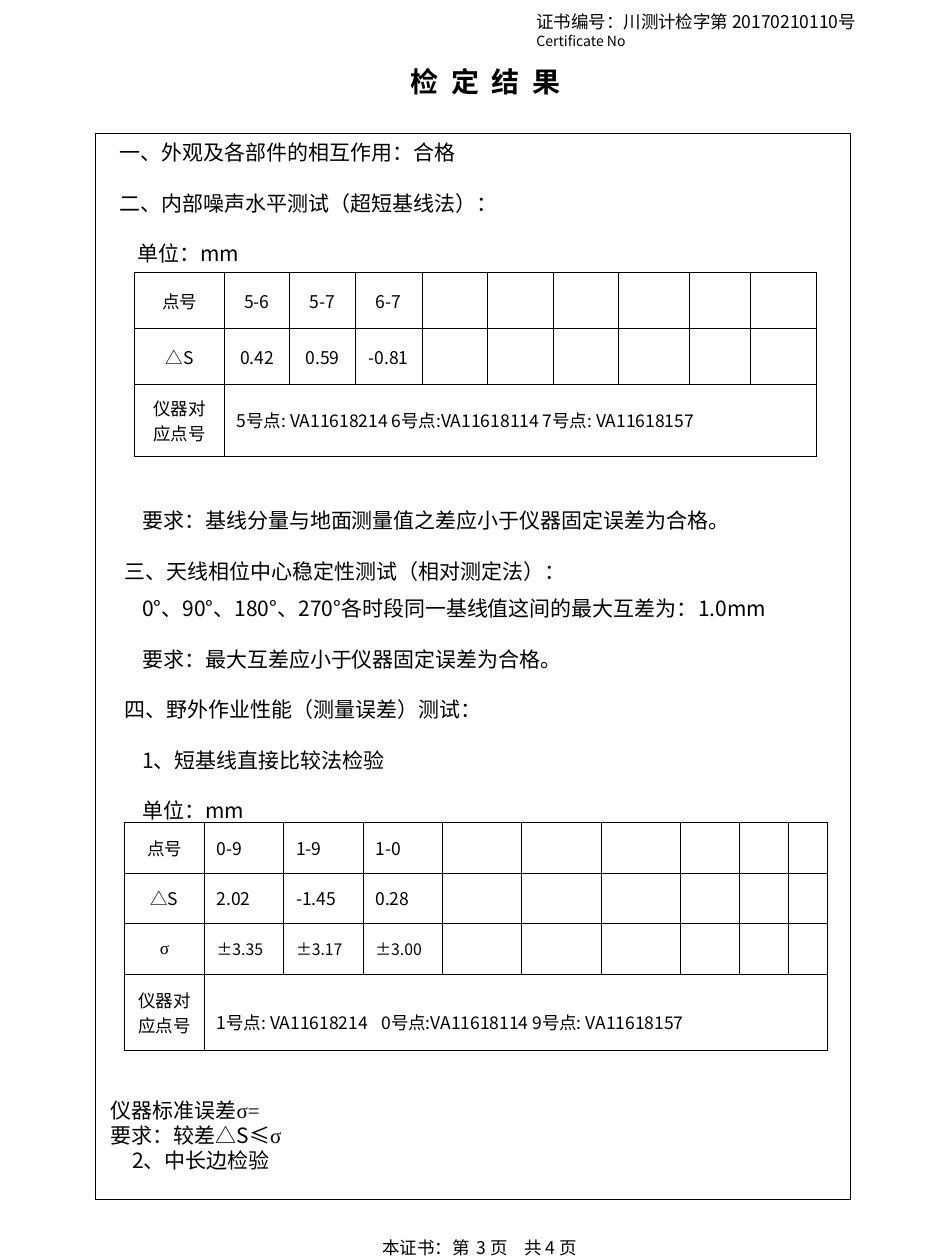
from lxml import etree
from pptx import Presentation
from pptx.dml.color import RGBColor
from pptx.enum.shapes import MSO_SHAPE
from pptx.enum.text import MSO_ANCHOR, PP_ALIGN
from pptx.oxml.ns import qn
from pptx.util import Inches, Pt

RECT = MSO_SHAPE.RECTANGLE
MIDDLE, TOP = MSO_ANCHOR.MIDDLE, MSO_ANCHOR.TOP
LEFT, CENTER = PP_ALIGN.LEFT, PP_ALIGN.CENTER
COLORS = {"ink": "000000"}
SANS, ARIAL, SERIF = "Noto Sans CJK SC", "Arial", "Times New Roman"
LABEL = ["仪器对", "应点号"]


def style(font, face, size, bold=False):
    """Set face, size and ink colour on a font."""
    font.name, font.size, font.bold = face, Pt(size), bold
    font.color.rgb = RGBColor.from_string(COLORS["ink"])


def write(par, text, size, face=SANS, align=LEFT, bold=False):
    """Write a string, or a list of (text, face, size, spacing) runs."""
    par.alignment = align
    style(par.font, face, size, bold)
    if isinstance(text, str):
        par.add_run().text = text
        return
    for part, kind, points, gap in text:
        run = par.add_run()
        run.text = part
        style(run.font, kind, points, bold)
        if gap:
            run.font._element.set("spc", str(round(gap * 100)))


def add_text(slide, box, lines, size=12, face=SANS, align=LEFT, bold=False):
    """Add lines given as (text, indent, space before, size or None)."""
    frame = slide.shapes.add_textbox(*map(Inches, box)).text_frame
    frame.word_wrap = True
    frame.vertical_anchor = TOP
    for i, (text, indent, before, points) in enumerate(lines):
        par = frame.add_paragraph() if i else frame.paragraphs[0]
        points = points or size
        write(par, text, points, face, align, bold)
        par.line_spacing = Pt(points * 1.2)
        par.space_before = Pt(before)
        par._p.get_or_add_pPr().set("marL", str(Inches(indent)))


def add_border(cell):
    """Draw a thin line on all four sides of a cell."""
    props = cell._tc.get_or_add_tcPr()
    for side in ("a:lnL", "a:lnR", "a:lnT", "a:lnB"):
        line = etree.SubElement(props, qn(side), w=str(Pt(0.45)))
        fill = etree.SubElement(line, qn("a:solidFill"))
        etree.SubElement(fill, qn("a:srgbClr"), val=COLORS["ink"])


def fill_cell(cell, lines, size, align, before, face=SANS):
    """Write lines into a cell, centred by height."""
    cell.vertical_anchor = MIDDLE
    frame = cell.text_frame
    for i, text in enumerate(lines):
        par = frame.add_paragraph() if i else frame.paragraphs[0]
        write(par, text, size, face, align)
        par.space_before = Pt(before)


def add_grid(slide, box, cols, rows, data, note, align):
    """Add a bordered table whose last row holds a label and a wide note."""
    table = slide.shapes.add_table(
        len(rows), len(cols), *map(Inches, box)).table
    table.first_row = table.horz_banding = False
    for col, width in zip(table.columns, cols):
        col.width = Inches(width)
    for row, height in zip(table.rows, rows):
        row.height = Inches(height)
    for cell in table.iter_cells():
        add_border(cell)
        cell.fill.background()
    for r, values in enumerate(data):
        small = values[0] == "σ"
        for c in range(len(cols)):
            cell = table.cell(r, c)
            if c >= len(values):
                cell.margin_top = cell.margin_bottom = 0
                style(cell.text_frame.paragraphs[0].font, SANS, 10)
            elif c:
                fill_cell(cell, [values[c]], 9 if small else 10,
                          align, 0 if small else 2.5)
            else:
                fill_cell(cell, [values[c]], 10, CENTER, 0,
                          SERIF if small else SANS)
    last = len(rows) - 1
    table.cell(last, 1).merge(table.cell(last, len(cols) - 1))
    fill_cell(table.cell(last, 0), LABEL, 10, CENTER, 0)
    fill_cell(table.cell(last, 1), [note], 10, LEFT, 2.5)


def add_frame(slide, box):
    """Add the unfilled outline around the results."""
    shape = slide.shapes.add_shape(RECT, *map(Inches, box))
    shape.shadow.inherit = False
    shape.fill.background()
    shape.line.color.rgb = RGBColor.from_string(COLORS["ink"])
    shape.line.width = Pt(0.75)


def main():
    """Build the certificate page and save it."""
    deck = Presentation()
    deck.slide_width, deck.slide_height = Inches(7.5), Inches(10)
    slide = deck.slides.add_slide(deck.slide_layouts[6])
    gap = 14.4
    add_text(slide, (0.85, 1.06, 3.2, 1.3), [
        ("一、外观及各部件的相互作用：合格", 0, 0, None),
        ("二、内部噪声水平测试（超短基线法）：", 0, gap, None),
        ("单位：mm", 0.14, gap, None)])
    add_grid(slide, (1.07, 2.16, 5.43, 1.46),
             [0.71, 0.52, 0.52, 0.53, 0.52, 0.52, 0.52, 0.56, 0.49, 0.52],
             [0.45, 0.44, 0.57],
             [["点号", "5-6", "5-7", "6-7"],
              ["△S", "0.42", "0.59", "-0.81"]],
             "5号点: VA11618214 6号点:VA11618114 7号点: VA11618157", CENTER)
    add_text(slide, (0.89, 3.98, 5.75, 2.8), [
        ("要求：基线分量与地面测量值之差应小于仪器固定误差为合格。",
         0.14, 0, None),
        ("三、天线相位中心稳定性测试（相对测定法）：", 0, gap, None),
        ("0°、90°、180°、270°各时段同一基线值这间的最大互差为：1.0mm",
         0.14, gap / 2, None),
        ("要求：最大互差应小于仪器固定误差为合格。", 0.14, gap, None),
        ("四、野外作业性能（测量误差）测试：", 0, gap, None),
        ("1、短基线直接比较法检验", 0.14, gap, None),
        ("单位：mm", 0.14, gap, None)])
    add_grid(slide, (0.99, 6.53, 5.58, 1.7),
             [0.63] * 7 + [0.47, 0.39, 0.31], [0.4] * 3 + [0.61],
             [["点号", "0-9", "1-9", "1-0"],
              ["△S", "2.02", "-1.45", "0.28"],
              ["σ", "±3.35", "±3.17", "±3.00"]],
             [("1号点: VA11618214", SANS, 10, 0), (" ", ARIAL, 28, 0),
              ("0号点:VA11618114 9号点: VA11618157", SANS, 10, 0)], LEFT)
    add_text(slide, (0.68, 8.66, 4.17, 0.7), [
        ([("仪器标准误差", SANS, 12, 0), ("σ=", SERIF, 12, 0)],
         0.1, 0, None),
        ([("要求：较差△S≤", SANS, 12, 0), ("σ", SERIF, 12, 0)],
         0.1, 0, None),
        ([("2", SANS, 12, 0), ("、中长边检验", ARIAL, 12, 0)],
         0.27, 0, None)])
    add_frame(slide, (0.76, 1.06, 5.99, 8.46))
    add_text(slide, (2.72, 9.77, 2.17, 0.27), [
        ([("本证书：第", ARIAL, 10, 0), (" ", ARIAL, 10, 2),
          ("3 ", SANS, 10, 0), ("页", ARIAL, 10, 0), (" ", ARIAL, 10, 7),
          ("共 ", ARIAL, 10, 0), ("4 ", SANS, 10, 0),
          ("页", ARIAL, 10, 0)], 0, 0, None)], 10, ARIAL, CENTER)
    add_text(slide, (3.16, 0.46, 1.6, 0.37), [
        ([("检 定 结 果", ARIAL, 16, 1.85)], 0, 0, None)],
        16, ARIAL, bold=True)
    add_text(slide, (4.16, 0.04, 3, 0.4), [
        ([("证书编号：川测计检字第 ", ARIAL, 10, 0),
          ("20170210110", SANS, 10, 0), ("号", ARIAL, 10, 0)], 0, 0, None),
        ("Certificate No", 0, 0, 8)], 10)
    deck.save("out.pptx")


if __name__ == "__main__":
    main()
